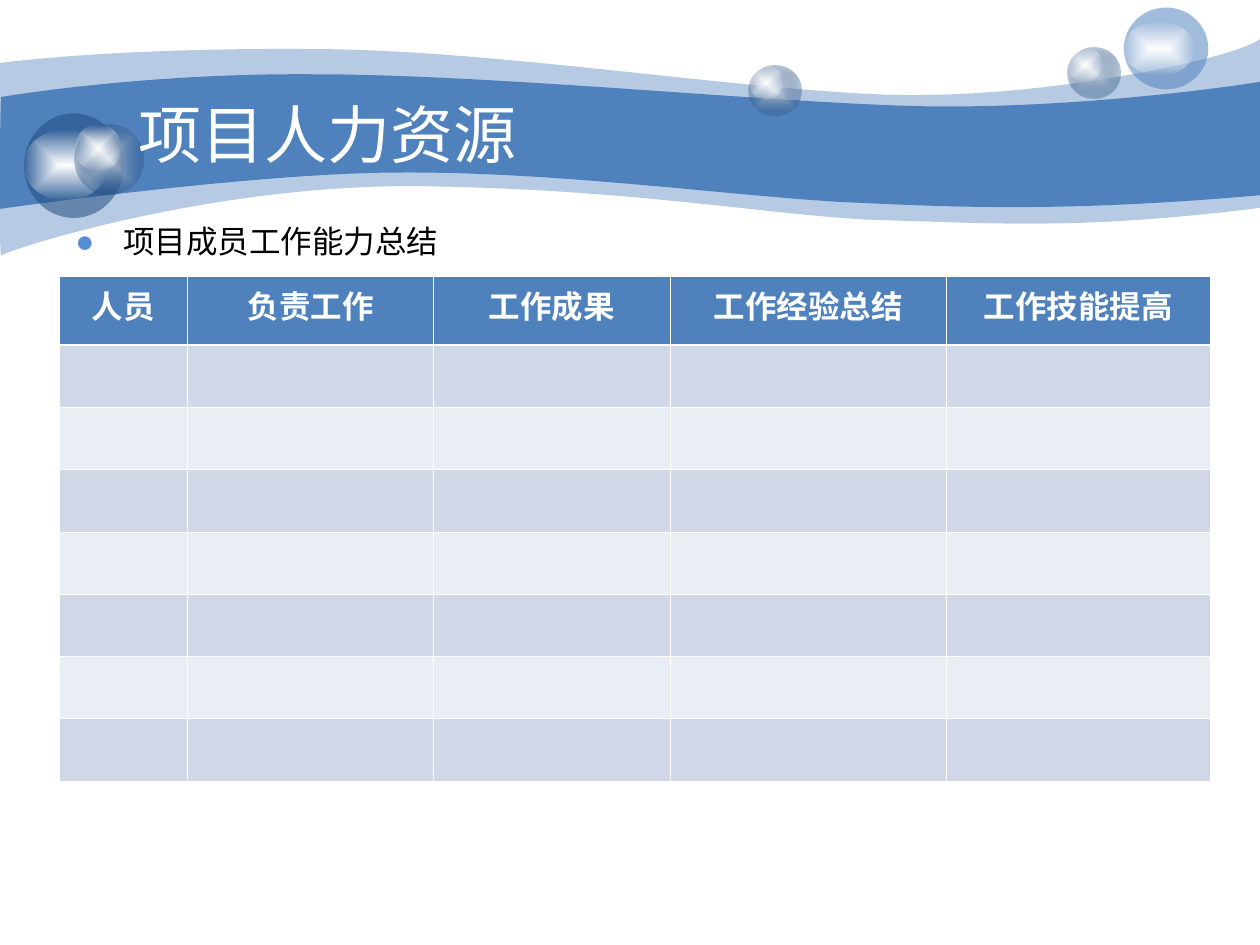
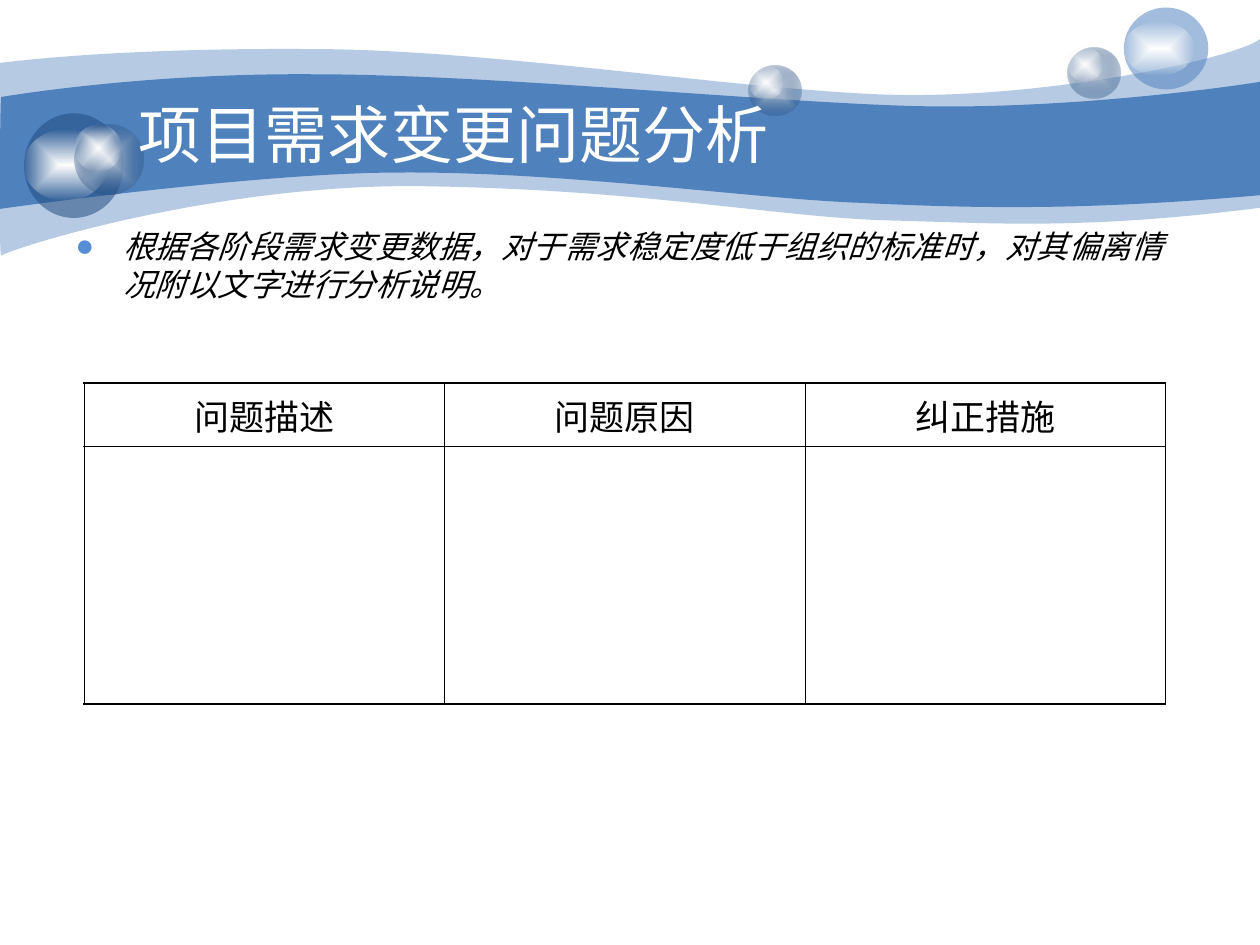
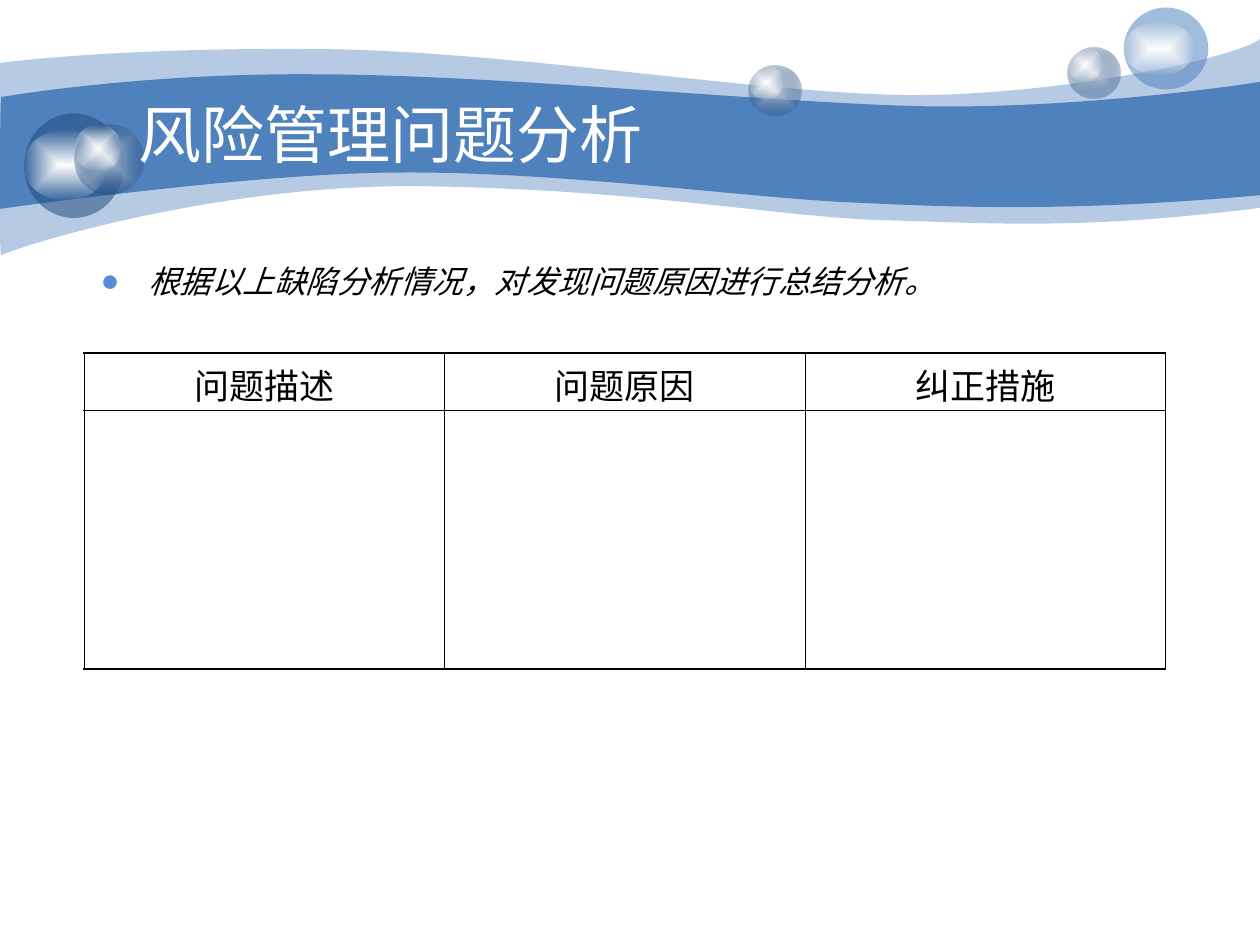
from lxml.etree import SubElement
from pptx import Presentation
from pptx.dml.color import RGBColor
from pptx.enum.shapes import MSO_SHAPE
from pptx.enum.text import MSO_ANCHOR, PP_ALIGN
from pptx.oxml import parse_xml
from pptx.oxml.ns import nsdecls, qn
from pptx.util import Inches, Pt

BLUE, NAVY, MIST, DOT = "4F81BD", "1F497D", "C6D1DE", "558ED5"
WHITE, BLACK = "FFFFFF", "000000"
BANDS = ("D0D8E8", "E9EDF4")
SANS, CJK = "Arial", "Noto Sans CJK SC"
THIN, THICK, RULE = 0.45, 1.2, 1.5

OUTER = [
    [(0, 0.5)],
    [(0.24, 0.47), (1.07, 0.38), (2.47, 0.39)],
    [(3.86, 0.39), (5.75, 0.7), (6.99, 0.75)],
    [(8.22, 0.8), (9.8, 0.47), (10, 0.31)],
    [(10, 1.65)],
    [(8.58, 1.83), (7.87, 1.77), (7.05, 1.75)],
    [(6.22, 1.73), (5.15, 1.51), (3.43, 1.48)],
    [(1.72, 1.44), (0.04, 1.99), (0.01, 2.03)],
    [(-0.01, 2.08), (0, 0.75), (0, 0.5)],
]
INNER = [
    [(0.01, 0.77)],
    [(0.02, 0.77), (1.1, 0.58), (2.48, 0.59)],
    [(3.86, 0.59), (5.95, 0.8), (7.18, 0.84)],
    [(8.41, 0.88), (9.76, 0.69), (10, 0.65)],
    [(10, 1.55)],
    [(8.53, 1.68), (7.65, 1.65), (6.82, 1.61)],
    [(5.99, 1.58), (4.47, 1.36), (3.17, 1.37)],
    [(2.03, 1.37), (-0.02, 1.66), (-0.01, 1.66)],
    [(0, 1.66), (0, 0.77), (0.01, 0.77)],
]
MISTY = [(0, MIST, 100), (100, NAVY, 31)]
GLOW = [(0, WHITE, 100), (100, WHITE, 0)]
BALLS = [
    ((8.47, 0.38, 0.42, 0.4), MISTY, (8.47, 0.38, 0.28, 0.27)),
    ((8.92, 0.06, 0.67, 0.65), (BLUE, 53), (8.92, 0.17, 0.56, 0.43)),
    ((0.19, 0.9, 0.79, 0.83), (NAVY, 53), (0.19, 1.03, 0.66, 0.56)),
    ((0.59, 0.99, 0.55, 0.55), MISTY, (0.59, 0.99, 0.37, 0.37)),
    ((5.94, 0.52, 0.42, 0.4), MISTY, (5.94, 0.52, 0.28, 0.27)),
]


def color(hexa):
    """Turn a hex string into a colour."""
    return RGBColor.from_string(hexa)


def inch(box):
    """Turn a box in inches into lengths."""
    return [Inches(v) for v in box]


def paint(shape, tone, alpha=100):
    """Give a shape a plain fill with no line or shadow."""
    shape.shadow.inherit = False
    shape.line.fill.background()
    shape.fill.solid()
    shape.fill.fore_color.rgb = color(tone)
    if alpha < 100:
        node = shape._element.spPr.find(".//" + qn("a:srgbClr"))
        SubElement(node, qn("a:alpha"), val=str(alpha * 1000))


def shade(shape, stops):
    """Give a shape a fill that spreads from its centre."""
    paint(shape, WHITE)
    marks = "".join(
        f'<a:gs pos="{pos * 1000}"><a:srgbClr val="{tone}">'
        f'<a:alpha val="{alpha * 1000}"/></a:srgbClr></a:gs>'
        for pos, tone, alpha in stops)
    grad = parse_xml(
        f'<a:gradFill {nsdecls("a")} rotWithShape="1"><a:gsLst>{marks}</a:gsLst>'
        '<a:path path="rect"><a:fillToRect l="50000" t="50000" r="50000" '
        'b="50000"/></a:path></a:gradFill>')
    props = shape._element.spPr
    props.replace(props.find(qn("a:solidFill")), grad)


def wave(slide, lines, alpha=100):
    """Draw one wavy band, bending each run of three points."""
    form = slide.shapes.build_freeform(*inch(lines[0][0]), scale=1.0)
    form.add_line_segments([inch(p) for line in lines[1:] for p in line], close=True)
    shape = form.convert_to_shape()
    legs = iter(shape._element.findall(".//" + qn("a:lnTo")))
    for line in lines[1:]:
        first, *rest = [next(legs) for _ in line]
        if rest:
            first.tag_name = None
            curve = parse_xml(f'<a:cubicBezTo {nsdecls("a")}/>')
            first.addprevious(curve)
            for leg in (first, *rest):
                curve.append(leg[0])
                leg.getparent().remove(leg)
    paint(shape, BLUE, alpha)


def ball(slide, box, fill, shine):
    """Draw a glass ball with its shine."""
    group = slide.shapes.add_group_shape()
    disc = group.shapes.add_shape(MSO_SHAPE.OVAL, *inch(box))
    if isinstance(fill, list):
        shade(disc, fill)
    else:
        paint(disc, *fill)
    shade(group.shapes.add_shape(MSO_SHAPE.OVAL, *inch(shine)), GLOW)


def dress(slide):
    """Draw the waves and balls and hand them to the layout."""
    layout = slide.slide_layout
    for spare in list(layout.placeholders):
        spare._element.getparent().remove(spare._element)
    wave(slide, OUTER, 41)
    wave(slide, INNER)
    for item in BALLS:
        ball(slide, *item)
    for shape in list(slide.shapes):
        layout.shapes._spTree.append(shape._element)


def style(para, size, face, tone, bold=False, slant=False):
    """Set the font of a paragraph."""
    font = para.font
    font.size, font.name = Pt(size), face
    font.bold, font.italic = bold, slant
    font.color.rgb = color(tone)


def write(slide, box, text):
    """Add a wrapping text box and return its frame."""
    frame = slide.shapes.add_textbox(*inch(box)).text_frame
    frame.word_wrap = True
    frame.text = text
    return frame


def title(slide, text):
    """Add the title on the band."""
    frame = write(slide, (1, 0.75, 8.08, 0.62), text)
    frame.vertical_anchor = MSO_ANCHOR.MIDDLE
    style(frame.paragraphs[0], 36, CJK, WHITE)


def point(slide, box, text, slant=True, space=None):
    """Add a text with a round bullet."""
    para = write(slide, box, text).paragraphs[0]
    props = para._p.get_or_add_pPr()
    props.set("marL", str(Inches(0.38)))
    props.set("indent", str(Inches(-0.38)))
    para.line_spacing = space
    tint = SubElement(props, qn("a:buClr"))
    SubElement(tint, qn("a:srgbClr"), val=DOT)
    SubElement(props, qn("a:buFont"), typeface=SANS)
    SubElement(props, qn("a:buChar"), char="●")
    style(para, 18, CJK, BLACK, slant=slant)


def edge(cell, tone, *widths):
    """Line a cell on its left, right, top and bottom."""
    props = cell._tc.get_or_add_tcPr()
    for side, width in zip("LRTB", widths):
        props.append(parse_xml(
            f'<a:ln{side} {nsdecls("a")} w="{Pt(width)}"><a:solidFill>'
            f'<a:srgbClr val="{tone}"/></a:solidFill></a:ln{side}>'))


def grid(slide, left, top, cols, rows, heads, size, tone, bold=False):
    """Add a table with centred heads and return it."""
    box = inch((left, top, sum(cols), sum(rows)))
    table = slide.shapes.add_table(len(rows), len(cols), *box).table
    table.first_row = table.horz_banding = False
    for col, width in zip(table.columns, cols):
        col.width = Inches(width)
    for row, height in zip(table.rows, rows):
        row.height = Inches(height)
    for n, head in enumerate(heads):
        cell = table.cell(0, n)
        cell.text = head
        para = cell.text_frame.paragraphs[0]
        para.alignment = PP_ALIGN.CENTER
        style(para, size, SANS, tone, bold)
    return table


def staff(slide, left, top, high):
    """Add the banded table of members."""
    heads = ["人员", "负责工作", "工作成果", "工作经验总结", "工作技能提高"]
    cols = [1.02, 1.95, 1.88, 2.19, 2.1]
    rows = [0.55] + [(high - 0.55) / 7] * 7
    table = grid(slide, left, top, cols, rows, heads, 18, WHITE, True)
    for r, row in enumerate(table.rows):
        for cell in row.cells:
            edge(cell, WHITE, THIN, THIN, RULE if r == 1 else THIN,
                 THIN if r else RULE)
            cell.fill.solid()
            cell.fill.fore_color.rgb = color(BANDS[(r - 1) % 2] if r else BLUE)


def issue(slide, left, top, high):
    """Add the ruled table of problems."""
    heads = ["问题描述", "问题原因", "纠正措施"]
    table = grid(slide, left, top, [2.86] * 3, [high, 2.05], heads, 20, BLACK)
    for r, row in enumerate(table.rows):
        for c, cell in enumerate(row.cells):
            edge(cell, BLACK, THIN if c else THICK, THICK if c == 2 else THIN,
                 THIN if r else THICK, THICK if r else THIN)
            cell.fill.background()
            if r == 0:
                cell.margin_bottom = Inches(high - 0.45)


def main():
    """Build the three slides."""
    deck = Presentation()
    deck.slide_width, deck.slide_height = Inches(10), Inches(7.5)
    names = ["项目人力资源", "项目需求变更问题分析", "风险管理问题分析"]
    team, change, risk = [deck.slides.add_slide(deck.slide_layouts[6]) for _ in names]
    dress(team)
    for slide, name in zip(deck.slides, names):
        title(slide, name)

    staff(team, 0.47, 2.19, 4.01)
    point(team, (0.5, 1.75, 8.75, 0.66), "项目成员工作能力总结", False, 0.9)

    point(change, (0.5, 1.75, 8.83, 1.61),
          "根据各阶段需求变更数据，对于需求稳定度低于组织的标准时，"
          "对其偏离情况附以文字进行分析说明。")
    issue(change, 0.67, 3.04, 0.5)

    point(risk, (0.7, 2.03, 8.67, 0.4),
          "根据以上缺陷分析情况，对发现问题原因进行总结分析。")
    issue(risk, 0.67, 2.8, 0.46)

    deck.save("out.pptx")


if __name__ == "__main__":
    main()
